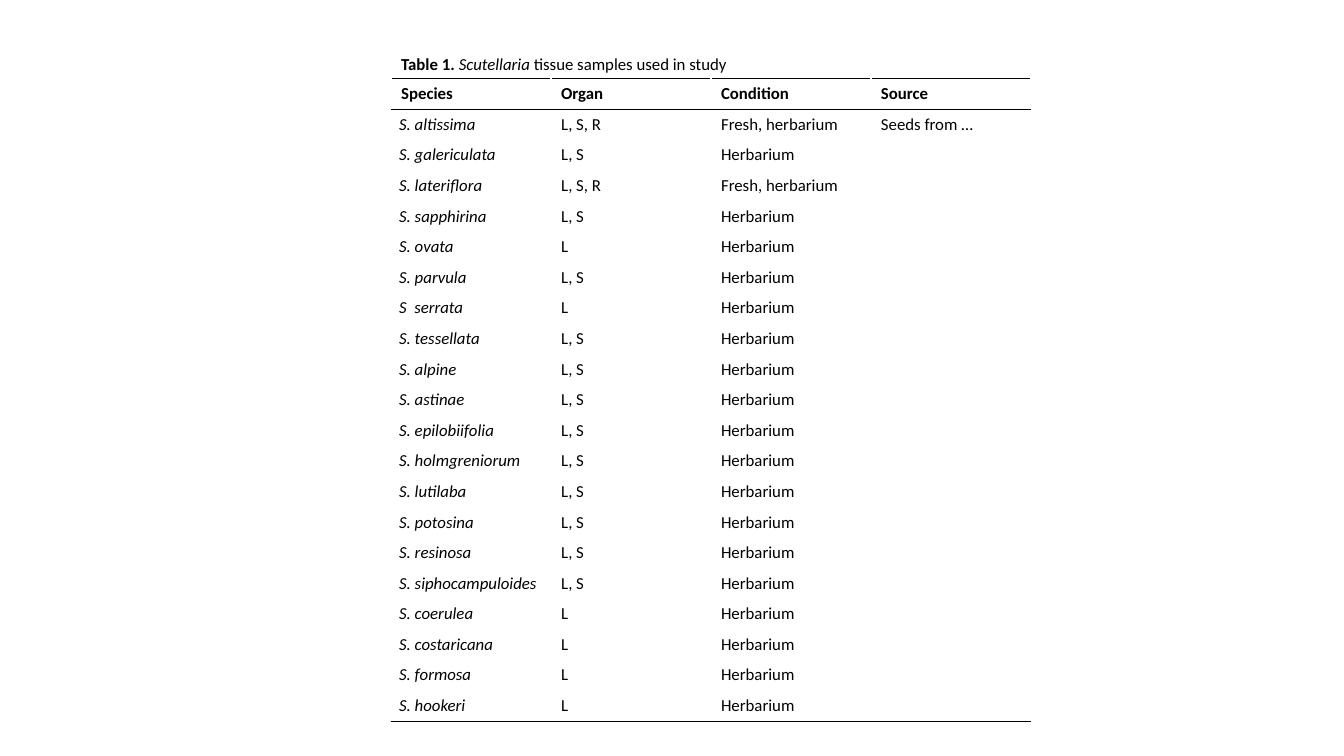
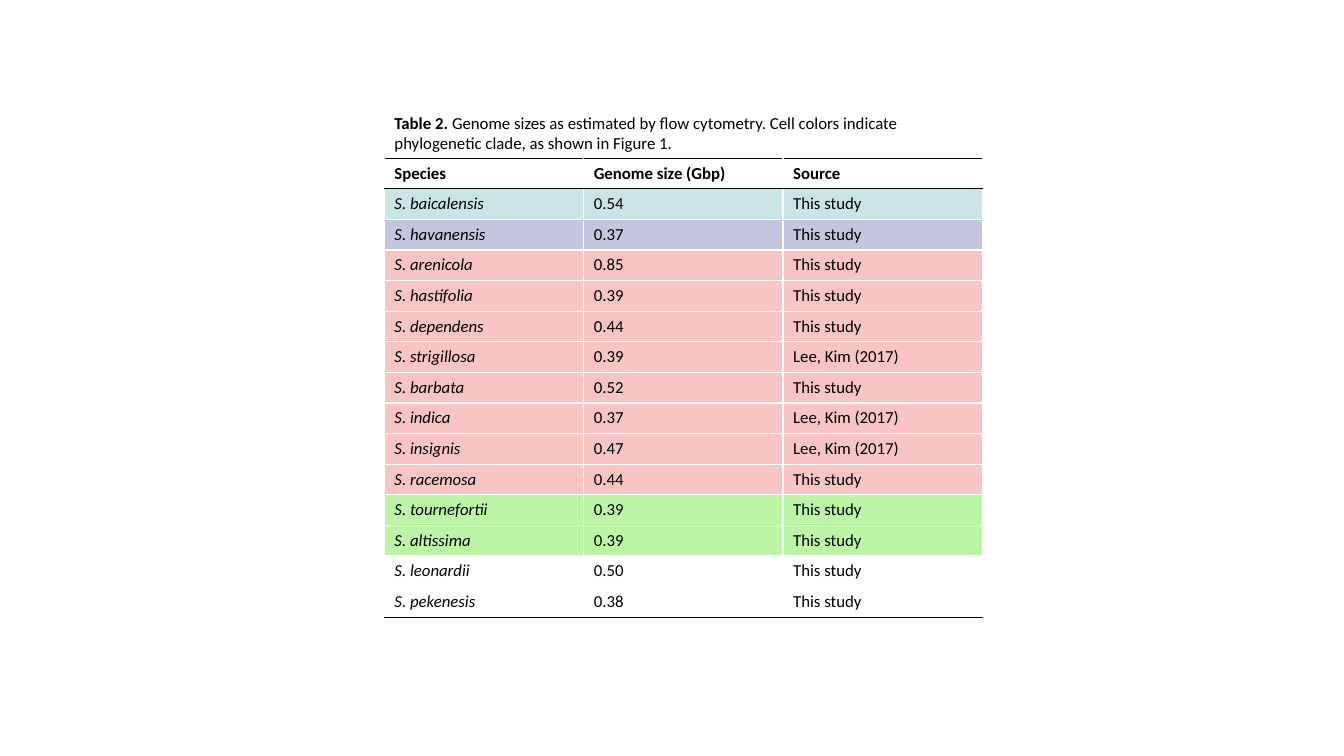
import pptx
import pptx.util
import pptx.dml.color
import pptx.enum.text
import pptx.oxml
import pptx.oxml.ns
from lxml import etree

INK = {
    "black": "000000",
    "white": "FFFFFF",
    "teal": "CAE3E4",
    "violet": "C4C5DE",
    "pink": "F8C4C4",
    "green": "BCF5A5",
}
FONT = "Calibri"
SIZE = pptx.util.Pt(12)

deck = pptx.Presentation()
deck.slide_width = pptx.util.Inches(13.33)
deck.slide_height = pptx.util.Inches(7.5)
WIDE = deck.slide_width
ROW = deck.slide_height / 25

samples = [
    ("S. altissima", "L, S, R", "Fresh, herbarium", "Seeds from …"),
    ("S. galericulata", "L, S", "Herbarium", ""),
    ("S. lateriflora", "L, S, R", "Fresh, herbarium", ""),
    ("S. sapphirina", "L, S", "Herbarium", ""),
    ("S. ovata", "L", "Herbarium", ""),
    ("S. parvula", "L, S", "Herbarium", ""),
    ("S  serrata", "L", "Herbarium", ""),
    ("S. tessellata", "L, S", "Herbarium", ""),
    ("S. alpine", "L, S", "Herbarium", ""),
    ("S. astinae", "L, S", "Herbarium", ""),
    ("S. epilobiifolia", "L, S", "Herbarium", ""),
    ("S. holmgreniorum", "L, S", "Herbarium", ""),
    ("S. lutilaba", "L, S", "Herbarium", ""),
    ("S. potosina", "L, S", "Herbarium", ""),
    ("S. resinosa", "L, S", "Herbarium", ""),
    ("S. siphocampuloides", "L, S", "Herbarium", ""),
    ("S. coerulea", "L", "Herbarium", ""),
    ("S. costaricana", "L", "Herbarium", ""),
    ("S. formosa", "L", "Herbarium", ""),
    ("S. hookeri", "L", "Herbarium", ""),
]
genomes = [
    ("S. baicalensis", "0.54", "This study"),
    ("S. havanensis", "0.37", "This study"),
    ("S. arenicola", "0.85", "This study"),
    ("S. hastifolia", "0.39", "This study"),
    ("S. dependens", "0.44", "This study"),
    ("S. strigillosa", "0.39", "Lee, Kim (2017)"),
    ("S. barbata", "0.52", "This study"),
    ("S. indica", "0.37", "Lee, Kim (2017)"),
    ("S. insignis", "0.47", "Lee, Kim (2017)"),
    ("S. racemosa", "0.44", "This study"),
    ("S. tournefortii", "0.39", "This study"),
    ("S. altissima", "0.39", "This study"),
    ("S. leonardii", "0.50", "This study"),
    ("S. pekenesis", "0.38", "This study"),
]

pages = [
    {
        "title": [("Table 1. ", "b"), ("Scutellaria ", "i"),
                  ("tissue samples used in study", "")],
        "left": 0.291, "width": 0.476, "span": 0.265,
        "top": 2.6, "lines": 1, "pitch": 1.012, "inset": 0.08,
        "head": ("Species", "Organ", "Condition", "Source"),
        "body": samples,
        "clades": [None] * len(samples),
    },
    {
        "title": [("Table 2. ", "b"),
                  ("Genome sizes as estimated by flow cytometry. Cell colors "
                   "indicate phylogenetic clade, as shown in Figure 1.", "")],
        "left": 0.286, "width": 0.445, "span": 0.445,
        "top": 5.23, "lines": 1.67, "pitch": 1, "inset": 0.1,
        "head": ("Species", "Genome size (Gbp)", "Source"),
        "body": genomes,
        "clades": ["teal", "violet"] + ["pink"] * 8 + ["green"] * 2 + [None] * 2,
    },
]


def style(run, look):
    run.font.name = FONT
    run.font.size = SIZE
    run.font.bold = look == "b"
    run.font.italic = look == "i"
    run.font.color.rgb = pptx.dml.color.RGBColor.from_string(INK["black"])


def edge(cell, side, ink):
    line = etree.SubElement(cell._tc.get_or_add_tcPr(),
                            pptx.oxml.ns.qn("a:ln" + side), w="12700")
    fill = etree.SubElement(line, pptx.oxml.ns.qn("a:solidFill"))
    etree.SubElement(fill, pptx.oxml.ns.qn("a:srgbClr"), val=INK[ink])


for page in pages:
    slide = deck.slides.add_slide(deck.slide_layouts[5])
    left, top = int(WIDE * page["left"]), int(ROW * page["top"])

    title = slide.shapes.title
    title.left, title.top = left, int(top - ROW * page["lines"])
    title.width = int(WIDE * page["span"])
    title.height = int(ROW * page["lines"])
    frame = title.text_frame
    frame.word_wrap = True
    frame.auto_size = pptx.enum.text.MSO_AUTO_SIZE.NONE
    frame.vertical_anchor = pptx.enum.text.MSO_ANCHOR.TOP
    para = frame.paragraphs[0]
    para.alignment = pptx.enum.text.PP_ALIGN.LEFT
    for text, look in page["title"]:
        run = para.add_run()
        run.text = text
        style(run, look)

    rows = [page["head"]] + page["body"]
    fills = [None] + page["clades"]
    last = len(rows) - 1
    count = len(page["head"])
    tall = ROW * (1 + last * page["pitch"])
    table = slide.shapes.add_table(len(rows), count, left, top,
                                   int(WIDE * page["width"]), int(tall)).table
    table.first_row = False
    table.horz_banding = False

    for r, row in enumerate(rows):
        table.rows[r].height = int(ROW * (page["pitch"] if r else 1))
        for c, text in enumerate(row):
            cell = table.cell(r, c)
            cell.vertical_anchor = pptx.enum.text.MSO_ANCHOR.MIDDLE
            if r and c == 0:
                cell.margin_left = pptx.util.Inches(page["inset"])
            edge(cell, "L", "white")
            edge(cell, "R", "white")
            edge(cell, "T", "black" if r < 2 else "white")
            edge(cell, "B", "black" if r in (0, last) else "white")
            if fills[r]:
                cell.fill.solid()
                cell.fill.fore_color.rgb = pptx.dml.color.RGBColor.from_string(INK[fills[r]])
            else:
                cell.fill.background()
            cell.text_frame.text = text
            para = cell.text_frame.paragraphs[0]
            for run in para.runs:
                style(run, "b" if r == 0 else "i" if c == 0 else "")
            if not text:
                etree.SubElement(para._p, pptx.oxml.ns.qn("a:endParaRPr"),
                                 sz=str(int(SIZE.pt * 100)))

deck.save("out.pptx")
